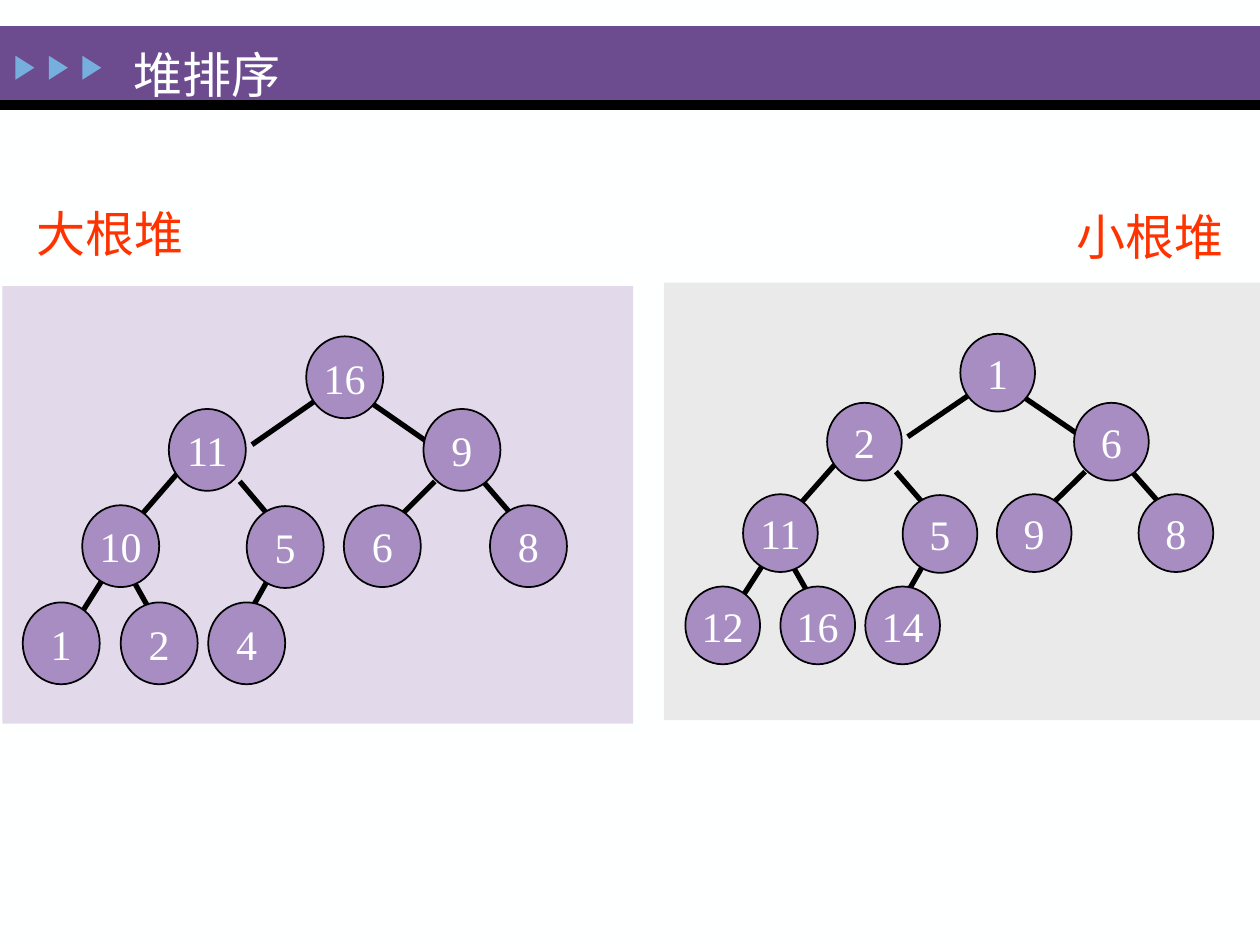
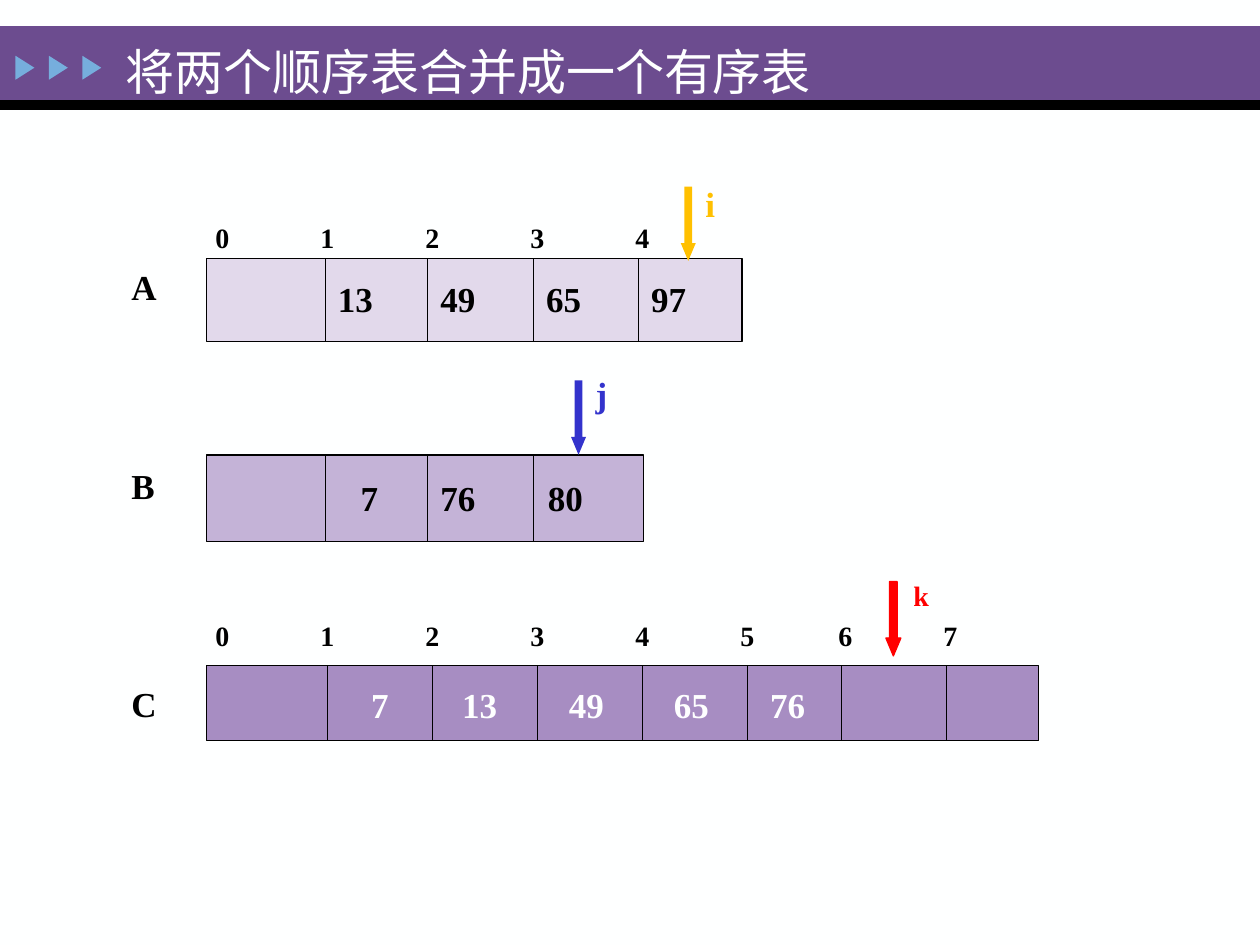
import pptx
import pptx.util
import pptx.dml.color
import pptx.enum.shapes
import pptx.enum.text
import pptx.oxml.ns
import lxml.etree

Pt = pptx.util.Pt
RGB = pptx.dml.color.RGBColor
SHAPE = pptx.enum.shapes.MSO_SHAPE
ALIGN = pptx.enum.text.PP_ALIGN
ANCHOR = pptx.enum.text.MSO_ANCHOR

WHITE = RGB(0xFE, 0xFF, 0xFF)
BLACK = RGB(0x00, 0x00, 0x00)
BAND = RGB(0x6C, 0x4C, 0x8F)
SKY = RGB(0x76, 0xAE, 0xDD)
PURPLE = RGB(0xA7, 0x8D, 0xC2)
LILAC = RGB(0xC4, 0xB3, 0xD7)
PALE = RGB(0xE2, 0xD9, 0xEB)
GREY = RGB(0xEA, 0xEA, 0xEA)
ORANGE = RGB(0xFF, 0x33, 0x00)
GOLD = RGB(0xFF, 0xC0, 0x00)
BLUE = RGB(0x33, 0x33, 0xCC)
RED = RGB(0xFF, 0x00, 0x00)
FONT = "Times New Roman"

# Heap tree in level order: node centres measured from the leftmost leaf and the root
NODES = [(162, 0), (83.5, 41.5), (229, 41.5), (34, 96.5), (128, 97),
         (183.5, 96.5), (267, 96.5), (0, 152), (56, 152), (106, 152)]
EDGES = [(109, 38.5, 145, 13.5), (175.5, 13.5, 211.5, 38.5),
         (68, 53, 45.5, 79), (102, 59.5, 124, 85.5),
         (213.5, 59.5, 185.5, 87.5), (241, 59.5, 256.5, 77.5),
         (24, 115, 7, 142), (52, 135.5, 40.5, 115), (118.5, 115, 107, 135.5)]
NODE_W, NODE_H = 44, 46.8


def style(p, size, color, bold=False):
    for r in p.runs:
        r.font.name = FONT
        r.font.size = Pt(size)
        r.font.bold = bold
        r.font.color.rgb = color


def add_shape(s, kind, x, y, w, h, fill, line=None, width=0.75):
    sp = s.shapes.add_shape(kind, Pt(x), Pt(y), Pt(w), Pt(h))
    sp.shadow.inherit = False
    sp.fill.solid()
    sp.fill.fore_color.rgb = fill
    if line is None:
        sp.line.fill.background()
    else:
        sp.line.color.rgb = line
        sp.line.width = Pt(width)
    return sp


def add_text(s, text, x, y, w, h, size, color, bold=False):
    tf = s.shapes.add_textbox(Pt(x), Pt(y), Pt(w), Pt(h)).text_frame
    tf.word_wrap = True
    tf.text = text
    p = tf.paragraphs[0]
    style(p, size, color, bold)
    return p


def add_line(s, x1, y1, x2, y2, width):
    c = s.shapes.add_connector(pptx.enum.shapes.MSO_CONNECTOR.STRAIGHT,
                               Pt(x1), Pt(y1), Pt(x2), Pt(y2))
    c.line.color.rgb = BLACK
    c.line.width = Pt(width)
    lxml.etree.SubElement(c._element.spPr, pptx.oxml.ns.qn("a:effectLst"))


def add_slide(prs, title, x, y, w):
    """Blank slide with the title band, three markers and the title."""
    s = prs.slides.add_slide(prs.slide_layouts[6])
    s.background.fill.solid()
    s.background.fill.fore_color.rgb = WHITE
    add_shape(s, SHAPE.RECTANGLE, 0, 15, 720, 42.5, BAND)
    add_shape(s, SHAPE.RECTANGLE, 0, 57.3, 720, 5.6, BLACK)
    for i in range(3):
        marker = add_shape(s, SHAPE.ISOSCELES_TRIANGLE,
                           7.4 + 19.1 * i, 33.3, 13.7, 10.8, SKY)
        marker.rotation = 90
    p = add_text(s, title, x, y, w, 41.8, 28, WHITE)
    p.line_spacing = 1.25
    return s


def add_heading(s, text, x, y):
    add_text(s, text, x, y, 126, 41, 28, ORANGE).alignment = ALIGN.CENTER


def add_heap(s, keys, x, y, sx=1, sy=1):
    """Tree whose leftmost leaf is centred at x and whose root is centred at y."""
    for x1, y1, x2, y2 in EDGES:
        add_line(s, x + x1 * sx, y + y1 * sy, x + x2 * sx, y + y2 * sy, 3)
    w, h = NODE_W * sx, NODE_H * sy
    for key, (cx, cy) in zip(keys, NODES):
        sp = add_shape(s, SHAPE.OVAL, x + cx * sx - w / 2, y + cy * sy - h / 2,
                       w, h, PURPLE, BLACK, 1)
        tf = sp.text_frame
        tf.margin_left = tf.margin_right = tf.margin_top = tf.margin_bottom = 0
        tf.word_wrap = False
        tf.vertical_anchor = ANCHOR.MIDDLE
        tf.text = str(key)
        tf.paragraphs[0].alignment = ALIGN.CENTER
        style(tf.paragraphs[0], 24, WHITE)


def add_array(s, name, name_y, top, w, h, fill, dividers, values, values_y, color):
    """Named row of cells; values are (text, shift from the cell's left divider)."""
    add_shape(s, SHAPE.RECTANGLE, 118, top, w, h, fill, BLACK)
    for x in dividers:
        add_line(s, x, top, x, top + h, 0.75)
    add_text(s, name, 68, name_y, 48, 31, 20, BLACK, True)
    for x, (text, shift) in zip(dividers, values):
        add_text(s, text, x + shift, values_y, 48, 31, 20, color, True)


def add_indexes(s, y, w, stops):
    """Cell numbers in one line, spaced by tab stops."""
    tf = s.shapes.add_textbox(Pt(116), Pt(y), Pt(w), Pt(27)).text_frame
    tf.word_wrap = True
    p = tf.paragraphs[0]
    p.text = "\t".join(str(i) for i in range(len(stops) + 1))
    qn = pptx.oxml.ns.qn
    tabs = lxml.etree.SubElement(p._p.get_or_add_pPr(), qn("a:tabLst"))
    for stop in stops:
        lxml.etree.SubElement(tabs, qn("a:tab"), pos=str(Pt(stop)), algn="l")
    style(p, 16, BLACK, True)


def add_pointer(s, name, x, y, color, name_dx, name_dy, size=20, line=None):
    arrow = add_shape(s, SHAPE.DOWN_ARROW, x, y, 8.6, 42.5, color, line)
    arrow.adjustments[0] = 0.5
    arrow.adjustments[1] = 1.19
    add_text(s, name, x + name_dx, y + name_dy, 38, 31, size, color, True)


def heap_slide(prs):
    s = add_slide(prs, "堆排序", 69.1, 13.7, 138)
    # Panels
    add_shape(s, SHAPE.RECTANGLE, 379.4, 161.5, 340.6, 250, GREY)
    add_shape(s, SHAPE.RECTANGLE, 1.4, 163.5, 360.5, 250, PALE)
    # Max heap and min heap
    add_heading(s, "大根堆", 0, 113)
    add_heap(s, [16, 11, 9, 10, 5, 6, 8, 1, 2, 4], 35, 215.6)
    add_heading(s, "小根堆", 594, 114.5)
    add_heap(s, [1, 2, 6, 11, 5, 9, 8, 12, 16, 14], 413, 213, 0.97, 0.95)


def merge_slide(prs):
    s = add_slide(prs, "将两个顺序表合并成一个有序表", 64.8, 11.5, 442)
    # Sorted arrays A and B
    dividers = [186, 244.5, 305, 365]
    add_indexes(s, 122.4, 306, [60 * i for i in range(1, 5)])
    add_array(s, "A", 148, 147.7, 306, 47.5, PALE, dividers,
              [("13", 0), ("49", 0), ("65", 0), ("97", 0)], 155, BLACK)
    add_array(s, "B", 262, 260, 249.8, 49.5, LILAC, dividers[:3],
              [("7", 13), ("76", 0), ("80", 1)], 268.5, BLACK)
    # Merged array C
    add_indexes(s, 350, 480, [60, 120, 180, 240, 300, 356, 416])
    add_array(s, "C", 386.5, 380.2, 475.6, 43, PURPLE,
              [187, 247, 307, 367, 427, 481, 541],
              [("7", 18), ("13", 10), ("49", 11), ("65", 11), ("76", 6)], 387, WHITE)
    # Cursors
    add_pointer(s, "i", 389, 106.6, GOLD, 7, -6)
    add_pointer(s, "j", 326.3, 217.4, BLUE, 7, -8)
    add_pointer(s, "k", 506.2, 332.3, RED, 8.6, -5, 16, RED)


def main():
    prs = pptx.Presentation()
    prs.slide_width, prs.slide_height = Pt(720), Pt(540)
    heap_slide(prs)
    merge_slide(prs)
    prs.save("out.pptx")


if __name__ == "__main__":
    main()
